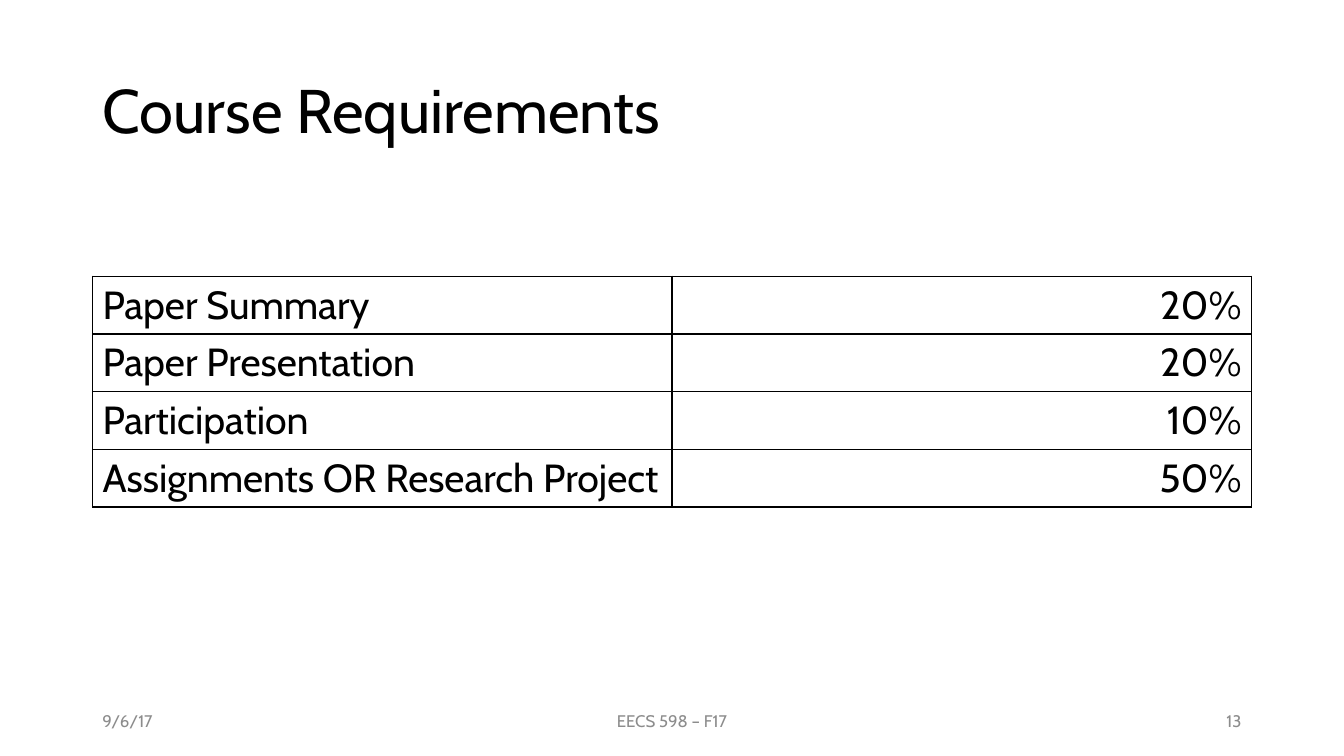
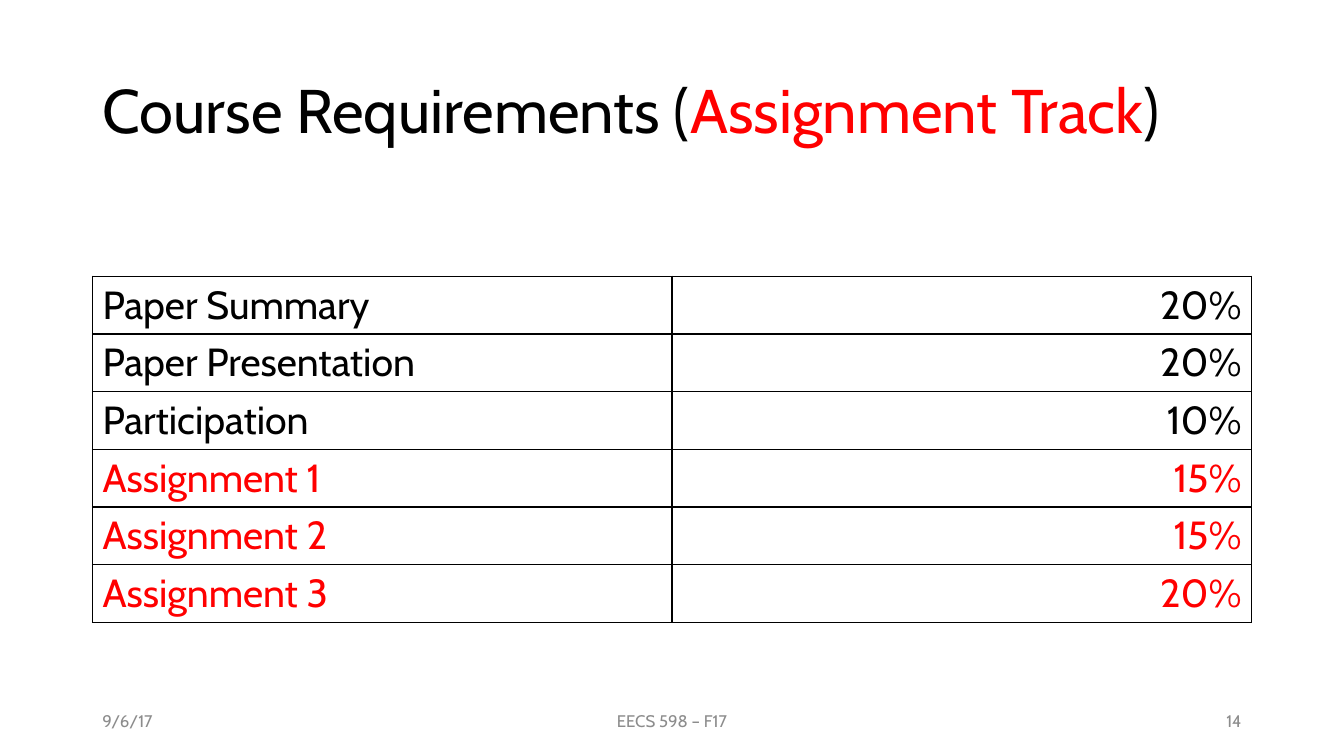
from lxml import etree
from pptx import Presentation
from pptx.dml.color import RGBColor
from pptx.enum.text import MSO_ANCHOR, MSO_AUTO_SIZE, PP_ALIGN
from pptx.oxml.ns import qn
from pptx.util import Cm, Pt

LEFT, CENTER, RIGHT = PP_ALIGN.LEFT, PP_ALIGN.CENTER, PP_ALIGN.RIGHT
MIDDLE = MSO_ANCHOR.MIDDLE
NO_AUTOFIT = MSO_AUTO_SIZE.NONE

BLACK = RGBColor(0x00, 0x00, 0x00)
RED = RGBColor(0xFF, 0x00, 0x00)
GRAY = RGBColor(0x8C, 0x8C, 0x8C)
FONT = "Cabin"

SLIDE_WIDTH, SLIDE_HEIGHT = Cm(33.87), Cm(19.05)
MARGIN = Cm(2.33)
CONTENT_WIDTH = SLIDE_WIDTH - 2 * MARGIN
TITLE_BOX = (MARGIN, Cm(1.01), CONTENT_WIDTH, Cm(3.68))
TABLE_TOP = Cm(6.96)
ROW_HEIGHT = Cm(1.45)
FOOTER_TOP, FOOTER_HEIGHT = Cm(17.66), Cm(1.01)
SIDE_WIDTH, MIDDLE_WIDTH = Cm(7.62), Cm(11.43)
TITLE_ONLY_LAYOUT = 5

COURSE = "EECS 598 – F17"
DATE = "9/6/17"
SHARED_ROWS = [
    ("Paper Summary", "20%", BLACK),
    ("Paper Presentation", "20%", BLACK),
    ("Participation", "10%", BLACK),
]
SLIDES = [
    (
        13,
        [("Course Requirements", BLACK)],
        SHARED_ROWS + [("Assignments OR Research Project", "50%", BLACK)],
    ),
    (
        14,
        [("Course Requirements (", BLACK), ("Assignment Track", RED), (")", BLACK)],
        SHARED_ROWS + [
            ("Assignment 1", "15%", RED),
            ("Assignment 2", "15%", RED),
            ("Assignment 3", "20%", RED),
        ],
    ),
]


def style_font(font, size, color):
    font.name = FONT
    font.size = Pt(size)
    font.color.rgb = color


def place_title(slide, box, parts):
    title = slide.shapes.title
    title.left, title.top, title.width, title.height = box
    text_frame = title.text_frame
    text_frame.auto_size = NO_AUTOFIT
    text_frame.vertical_anchor = MIDDLE
    paragraph = text_frame.paragraphs[0]
    paragraph.alignment = LEFT
    paragraph.line_spacing = 0.9
    for text, color in parts:
        run = paragraph.add_run()
        run.text = text
        style_font(run.font, 44, color)


def add_borders(cell):
    properties = cell._tc.get_or_add_tcPr()
    for side in ("a:lnL", "a:lnR", "a:lnT", "a:lnB"):
        line = etree.SubElement(properties, qn(side), w=str(Pt(1)))
        fill = etree.SubElement(line, qn("a:solidFill"))
        etree.SubElement(fill, qn("a:srgbClr"), val=str(BLACK))


def fill_cell(cell, text, alignment, color):
    add_borders(cell)
    cell.fill.background()
    cell.text_frame.text = text
    paragraph = cell.text_frame.paragraphs[0]
    paragraph.alignment = alignment
    style_font(paragraph.runs[0].font, 28, color)


def place_weights(slide, left, top, width, rows):
    height = ROW_HEIGHT * len(rows)
    table = slide.shapes.add_table(len(rows), 2, left, top, width, height).table
    table.first_row = False
    table.horz_banding = False
    for index, (label, weight, color) in enumerate(rows):
        fill_cell(table.cell(index, 0), label, LEFT, color)
        fill_cell(table.cell(index, 1), weight, RIGHT, color)


def place_footer(slide, left, top, width, number):
    entries = [
        (DATE, left, SIDE_WIDTH, LEFT),
        (COURSE, left + (width - MIDDLE_WIDTH) // 2, MIDDLE_WIDTH, CENTER),
        (str(number), left + width - SIDE_WIDTH, SIDE_WIDTH, RIGHT),
    ]
    for text, entry_left, entry_width, alignment in entries:
        box = slide.shapes.add_textbox(entry_left, top, entry_width, FOOTER_HEIGHT)
        text_frame = box.text_frame
        text_frame.word_wrap = True
        text_frame.vertical_anchor = MIDDLE
        text_frame.text = text
        paragraph = text_frame.paragraphs[0]
        paragraph.alignment = alignment
        style_font(paragraph.runs[0].font, 12, GRAY)


def build_requirements_slide(presentation, number, title_parts, rows):
    layout = presentation.slide_layouts[TITLE_ONLY_LAYOUT]
    slide = presentation.slides.add_slide(layout)
    place_title(slide, TITLE_BOX, title_parts)
    place_weights(slide, MARGIN, TABLE_TOP, CONTENT_WIDTH, rows)
    place_footer(slide, MARGIN, FOOTER_TOP, CONTENT_WIDTH, number)


def main():
    presentation = Presentation()
    presentation.slide_width = SLIDE_WIDTH
    presentation.slide_height = SLIDE_HEIGHT
    for number, title_parts, rows in SLIDES:
        build_requirements_slide(presentation, number, title_parts, rows)
    presentation.save("out.pptx")


if __name__ == "__main__":
    main()
